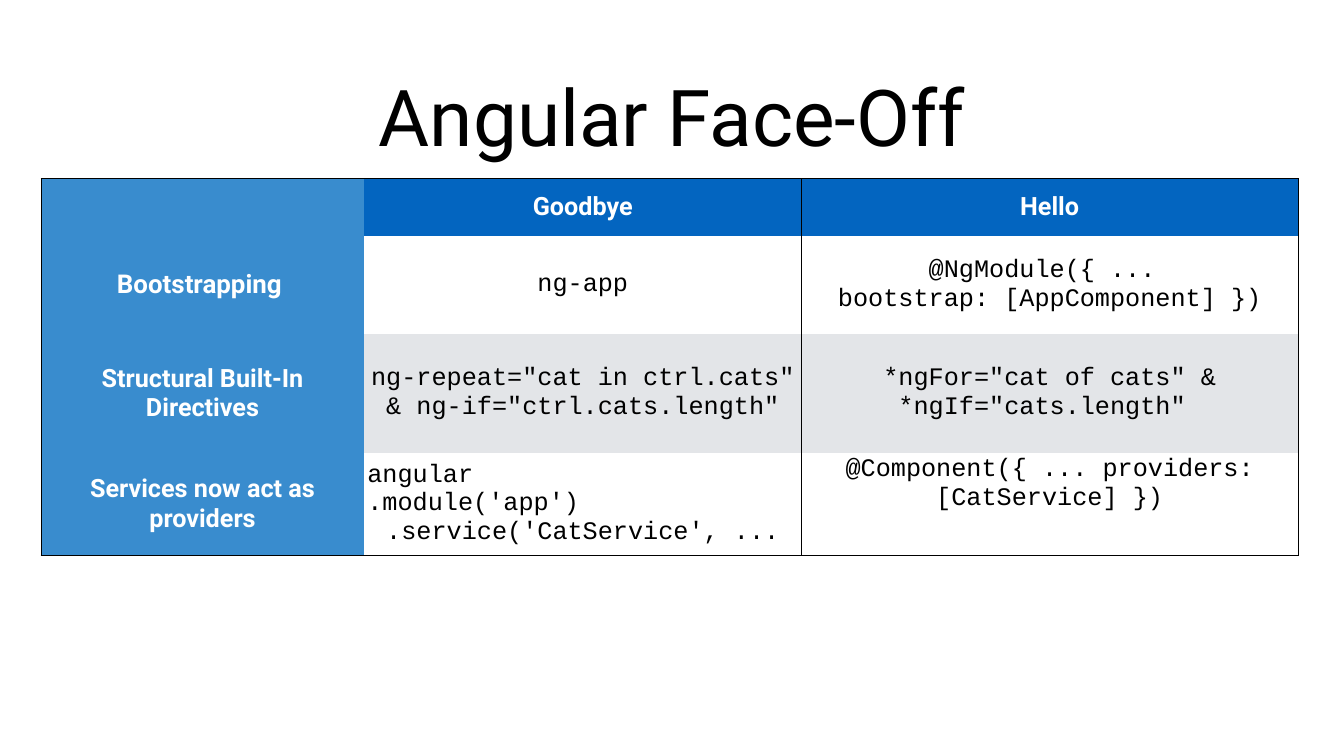
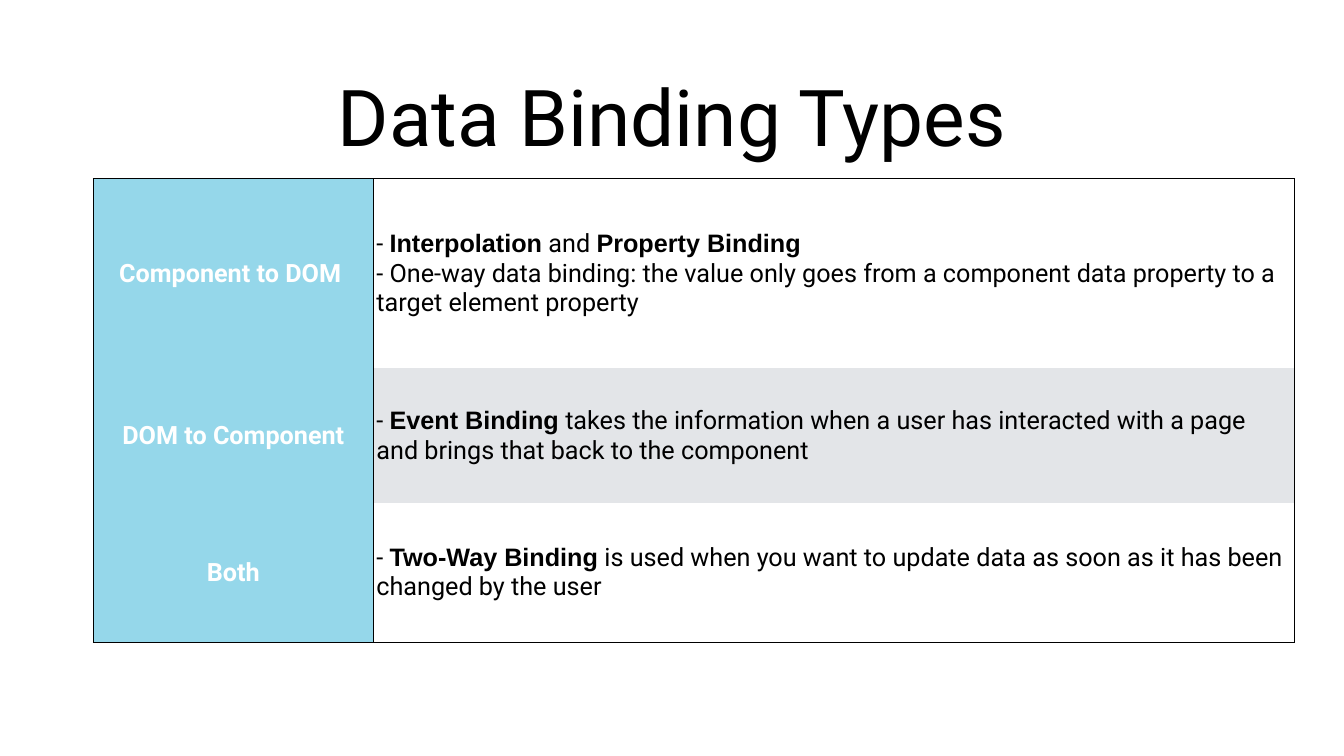
from lxml import etree
from pptx import Presentation
from pptx.dml.color import RGBColor
from pptx.enum.text import MSO_ANCHOR as Anchor, PP_ALIGN as Align
from pptx.oxml.ns import qn
from pptx.util import Inches, Pt

BLACK = RGBColor(0x00, 0x00, 0x00)
WHITE = RGBColor(0xFF, 0xFF, 0xFF)
HEADER_BLUE = RGBColor(0x03, 0x65, 0xC0)
LABEL_BLUE = RGBColor(0x39, 0x8C, 0xCE)
LABEL_CYAN = RGBColor(0x95, 0xD7, 0xEA)
BAND_GREY = RGBColor(0xE3, 0xE5, 0xE8)

INSET = Inches(0.06)
TABLE_TOP = 3.54

TITLE = {"name": "Roboto", "size": Pt(112), "bold": False, "color": BLACK}
LABEL = {"name": "Roboto", "size": Pt(36), "bold": True, "color": WHITE}
BODY = {"name": "Roboto", "size": Pt(36), "bold": False, "color": BLACK}
TERM = {**BODY, "name": "Arial", "bold": True}
CODE = {**BODY, "name": "Courier New"}

FACE_OFF = [
    ["", "Goodbye", "Hello"],
    ["Bootstrapping ", "ng-app",
     "@NgModule({ ... \nbootstrap: [AppComponent] })"],
    ["Structural Built-In Directives",
     "ng-repeat=\"cat in ctrl.cats\" \n& ng-if=\"ctrl.cats.length\"",
     "*ngFor=\"cat of cats\" & *ngIf=\"cats.length\" "],
    ["Services now act as providers",
     "angular\n.module('app')\n.service('CatService', ...",
     "@Component({ ... providers:[CatService] })"],
]

BINDINGS = [
    ["Component to DOM ",
     "- **Interpolation** and **Property Binding**\n"
     "- One-way data binding: the value only goes from a component data "
     "property to a target element property"],
    ["DOM to Component",
     "- **Event Binding** takes the information when a user has interacted "
     "with a page and brings that back to the component"],
    ["Both",
     "- **Two-Way Binding** is used when you want to update data as soon as "
     "it has been changed by the user"],
]


def apply_font(font, style):
    for attribute, value in style.items():
        if attribute == "color":
            font.color.rgb = value
        else:
            setattr(font, attribute, value)


def write_text(text_frame, text, style, align):
    for index, line in enumerate(text.split("\n")):
        paragraph = text_frame.paragraphs[0] if index == 0 else text_frame.add_paragraph()
        paragraph.alignment = align
        for position, part in enumerate(line.split("**")):
            if part:
                run = paragraph.add_run()
                run.text = part
                apply_font(run.font, TERM if position % 2 else style)


def set_insets(holder):
    for side in ("left", "right", "top", "bottom"):
        setattr(holder, f"margin_{side}", INSET)
    holder.vertical_anchor = Anchor.MIDDLE


def add_title(slide, text):
    box = slide.shapes.add_textbox(Inches(1.85), Inches(1.04), Inches(22.97), Inches(2.5))
    box.text_frame.word_wrap = True
    set_insets(box.text_frame)
    write_text(box.text_frame, text, TITLE, Align.CENTER)


def set_borders(cell, visible_sides):
    properties = cell._tc.get_or_add_tcPr()
    for side in "LRTB":
        line = etree.SubElement(properties, qn(f"a:ln{side}"), w=str(Pt(1)))
        if side in visible_sides:
            fill = etree.SubElement(line, qn("a:solidFill"))
            etree.SubElement(fill, qn("a:srgbClr"), val=str(BLACK))
        else:
            etree.SubElement(line, qn("a:noFill"))


def add_table(slide, left, widths, heights, rows, divider, cell_format):
    frame = slide.shapes.add_table(
        len(heights), len(widths), Inches(left), Inches(TABLE_TOP),
        Inches(sum(widths)), Inches(sum(heights)))
    table = frame.table
    table.first_row = table.horz_banding = False
    for column, width in zip(table.columns, widths):
        column.width = Inches(width)
    for row, height in zip(table.rows, heights):
        row.height = Inches(height)
    last_row, last_column = len(heights) - 1, len(widths) - 1
    for row, texts in enumerate(rows):
        for column, text in enumerate(texts):
            cell = table.cell(row, column)
            fill, style, align = cell_format(row, column)
            sides = {
                "L": column in (0, divider + 1),
                "R": column in (divider, last_column),
                "T": row == 0,
                "B": row == last_row,
            }
            set_borders(cell, [side for side, shown in sides.items() if shown])
            cell.fill.solid()
            cell.fill.fore_color.rgb = fill
            set_insets(cell)
            write_text(cell.text_frame, text, style, align)
    return table


def face_off_format(row, column):
    if column == 0:
        return LABEL_BLUE, {**LABEL, "size": Pt(37 if row == 1 else 36)}, Align.CENTER
    if row == 0:
        return HEADER_BLUE, LABEL, Align.CENTER
    return (BAND_GREY if row == 2 else WHITE), CODE, Align.CENTER


def binding_format(row, column):
    if column == 0:
        return LABEL_CYAN, LABEL, Align.CENTER
    return (BAND_GREY if row == 1 else WHITE), BODY, Align.LEFT


def add_slide(presentation, title):
    slide = presentation.slides.add_slide(presentation.slide_layouts[6])
    add_title(slide, title)
    return slide


def main():
    presentation = Presentation()
    presentation.slide_width = Inches(26.67)
    presentation.slide_height = Inches(15)

    slide = add_slide(presentation, "Angular Face-Off")
    table = add_table(slide, 0.81, [6.42, 8.67, 9.86], [1.14, 1.95, 2.35, 2.04],
                      FACE_OFF, 1, face_off_format)
    for paragraph in table.cell(3, 1).text_frame.paragraphs[:2]:
        paragraph.alignment = Align.LEFT
    table.cell(3, 2).vertical_anchor = Anchor.TOP

    slide = add_slide(presentation, "Data Binding Types")
    add_table(slide, 1.85, [5.56, 18.28], [3.77, 2.67, 2.76],
              BINDINGS, 0, binding_format)

    presentation.save("out.pptx")


if __name__ == "__main__":
    main()
